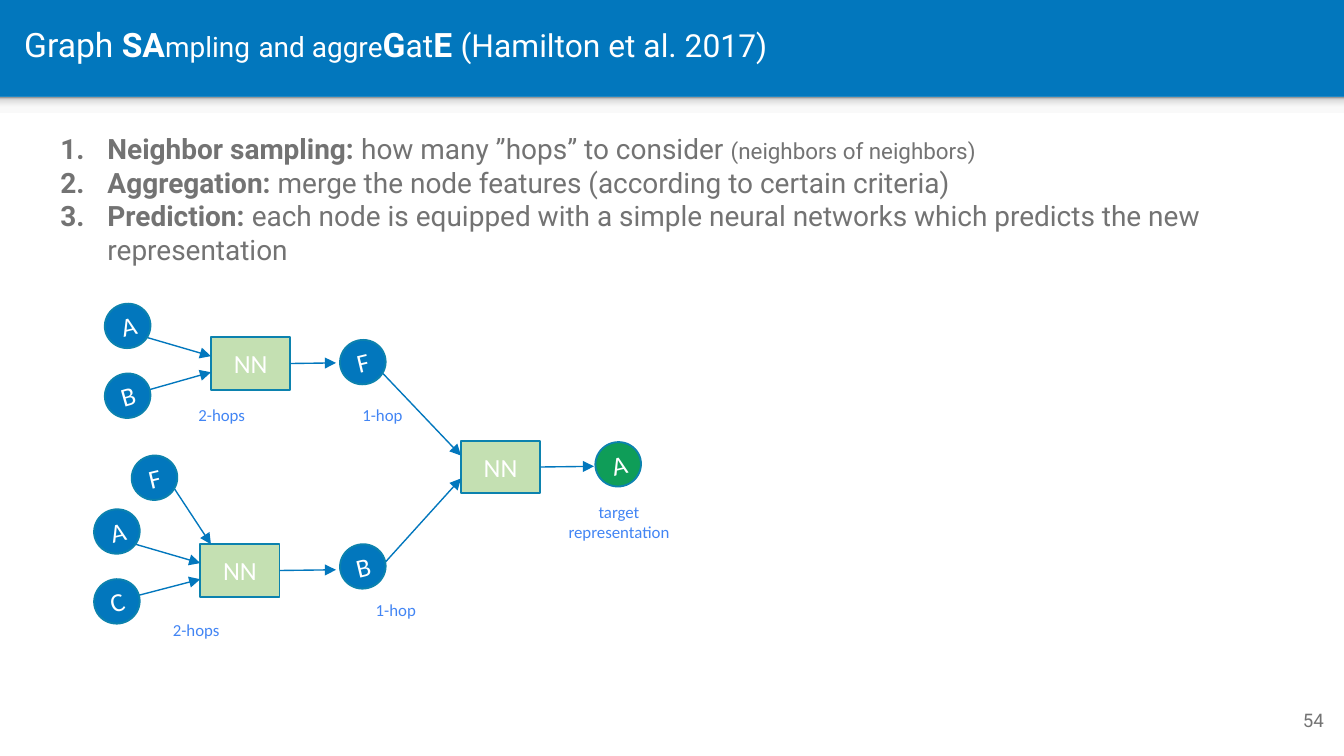
import copy

import pptx
import pptx.dml.color
import pptx.enum.shapes
import pptx.enum.text
import pptx.oxml.ns
import pptx.oxml.xmlchemy
import pptx.util

RGB = pptx.dml.color.RGBColor
BLUE = RGB(0x02, 0x77, 0xBD)
OUTLINE = RGB(0x0C, 0x82, 0xAE)
GREEN = RGB(0x0F, 0x9D, 0x58)
PALE_GREEN = RGB(0xC4, 0xE0, 0xB2)
LABEL_BLUE = RGB(0x42, 0x85, 0xF4)
GRAY = RGB(0x73, 0x73, 0x73)
WHITE = RGB(0xFF, 0xFF, 0xFF)
SHADE_STOPS = [(0, RGB(0xF9, 0xF9, 0xF9)), (0.36, RGB(0xF9, 0xF9, 0xF9)),
               (0.8, RGB(0xDE, 0xDE, 0xDE)), (1, RGB(0x99, 0x99, 0x99))]

SHAPE = pptx.enum.shapes.MSO_SHAPE
ALIGN = pptx.enum.text.PP_ALIGN
ANCHOR = pptx.enum.text.MSO_ANCHOR
RIGHT_SIDE = 3
NODE_SIZE = (34, 33)
NN_SIZE = (59, 39)


def px(count):
    """One px is a hundredth of an inch."""
    return pptx.util.Emu(count * 9144)


def add_xml(parent, tag, **attributes):
    child = pptx.oxml.xmlchemy.OxmlElement(tag)
    for key, value in attributes.items():
        child.set(key, value)
    parent.append(child)
    return child


def set_font(font, name, size, color):
    font.name = name
    font.size = pptx.util.Pt(size)
    font.color.rgb = color


def set_frame(frame, anchor, wrap=True):
    frame.margin_left = frame.margin_right = px(7)
    frame.margin_top = frame.margin_bottom = px(4)
    frame.vertical_anchor = anchor
    frame.word_wrap = wrap


def add_text(slide, box, anchor=ANCHOR.TOP, wrap=True):
    frame = slide.shapes.add_textbox(*map(px, box)).text_frame
    set_frame(frame, anchor, wrap)
    return frame


def add_runs(paragraph, runs, color):
    for text, size, bold in runs:
        run = paragraph.add_run()
        run.text = text
        set_font(run.font, "Roboto", size, color)
        run.font.bold = bold


def add_plain(slide, kind, box):
    shape = slide.shapes.add_shape(kind, *map(px, box))
    shape.shadow.inherit = False
    shape.line.fill.background()
    return shape


def add_block(slide, kind, position, size, text, fill, rotation=0):
    block = add_plain(slide, kind, (*position, *size))
    block.rotation = rotation
    block.fill.solid()
    block.fill.fore_color.rgb = fill
    block.line.color.rgb = OUTLINE
    block.line.width = pptx.util.Pt(1)
    set_frame(block.text_frame, ANCHOR.MIDDLE)
    paragraph = block.text_frame.paragraphs[0]
    paragraph.text = text
    paragraph.alignment = ALIGN.CENTER
    set_font(paragraph.font, "Calibri", 14, WHITE)
    return block


def add_node(slide, position, letter, rotation=346.3, fill=BLUE):
    add_block(slide, SHAPE.OVAL, position, NODE_SIZE, letter, fill, rotation)


def add_arrow(slide, start, end):
    arrow = slide.shapes.add_connector(
        pptx.enum.shapes.MSO_CONNECTOR.STRAIGHT, *map(px, (*start, *end)))
    arrow.line.color.rgb = BLUE
    arrow.line.width = pptx.util.Pt(0.75)
    outline = arrow._element.spPr.find(pptx.oxml.ns.qn("a:ln"))
    add_xml(outline, "a:tailEnd", type="triangle")
    add_xml(arrow._element.spPr, "a:effectLst")
    return arrow


def add_network(slide, position, output_x):
    """NN box with an arrow leaving the middle of its right side."""
    network = add_block(slide, SHAPE.RECTANGLE, position, NN_SIZE, "NN", PALE_GREEN)
    left, top = position
    middle = top + NN_SIZE[1] // 2
    output = add_arrow(slide, (left + NN_SIZE[0], middle), (output_x, middle))
    output.begin_connect(network, RIGHT_SIDE)


def add_label(slide, box, *lines):
    frame = add_text(slide, box, wrap=False)
    for index, line in enumerate(lines):
        paragraph = frame.add_paragraph() if index else frame.paragraphs[0]
        paragraph.text = line
        paragraph.alignment = ALIGN.CENTER
        set_font(paragraph.font, "Calibri", 9, LABEL_BLUE)


def add_backdrop(slide):
    slide.background.fill.solid()
    slide.background.fill.fore_color.rgb = BLUE
    body = add_plain(slide, SHAPE.RECTANGLE, (0, 72, 1000, 491))
    body.fill.solid()
    body.fill.fore_color.rgb = WHITE

    # Soft shade under the title band, darkest at its top
    shade = add_plain(slide, SHAPE.RECTANGLE, (0, 72, 1000, 12))
    shade.fill.gradient()
    shade.fill.gradient_angle = 90
    stop_list = shade._element.spPr.find(".//" + pptx.oxml.ns.qn("a:gsLst"))
    for _ in range(len(SHADE_STOPS) - len(stop_list)):
        stop_list.append(copy.deepcopy(stop_list[0]))
    for stop, (position, color) in zip(shade.fill.gradient_stops, SHADE_STOPS):
        stop.position = position
        stop.color.rgb = color


def add_title(slide):
    title = add_text(slide, (11, 2, 965, 66), ANCHOR.MIDDLE).paragraphs[0]
    title.line_spacing = 0.9
    add_runs(title, [("Graph ", 18, False), ("SA", 18, True),
                     ("mpling", 15, False), (" ", 18, False),
                     ("and aggre", 15, False), ("G", 18, True),
                     ("at", 17, False), ("E ", 18, True),
                     ("(Hamilton et al. 2017)", 17, False)], WHITE)


def add_steps(slide):
    steps = [
        [("Neighbor sampling: ", 15, True),
         ("how many ”hops” to consider ", 15, False),
         ("(neighbors of neighbors)", 12, False)],
        [("Aggregation: ", 15, True),
         ("merge the node features (according to certain criteria)", 15, False)],
        [("Prediction: ", 15, True),
         ("each node is equipped with a simple neural networks which "
          "predicts the new representation", 15, False)],
    ]
    frame = add_text(slide, (23, 94, 907, 109))
    for index, runs in enumerate(steps):
        paragraph = frame.add_paragraph() if index else frame.paragraphs[0]
        properties = paragraph._p.get_or_add_pPr()
        properties.set("marL", str(px(50)))
        properties.set("indent", str(px(-35)))
        bullet_color = add_xml(properties, "a:buClr")
        add_xml(bullet_color, "a:srgbClr", val=str(GRAY))
        add_xml(properties, "a:buFont", typeface="Roboto")
        add_xml(properties, "a:buAutoNum", type="arabicPeriod")
        add_runs(paragraph, runs, GRAY)


def add_diagram(slide):
    # Networks with their outputs
    for position, output_x in [((157, 251), 250), ((149, 405), 250),
                               ((343, 328), 442)]:
        add_network(slide, position, output_x)

    # Arrows into the networks
    for start, end in [((109, 251), (157, 265)), ((111, 290), (157, 277)),
                       ((101, 405), (149, 419)), ((103, 443), (149, 431)),
                       ((130, 364), (157, 405)),
                       ((285, 278), (343, 339)), ((287, 418), (343, 356))]:
        add_arrow(slide, start, end)

    # Graph nodes
    for position, letter in [((78, 226), "A"), ((70, 379), "A"), ((98, 339), "F"),
                             ((253, 253), "F"), ((253, 405), "B")]:
        add_node(slide, position, letter)
    add_node(slide, (78, 278), "B", rotation=344)
    add_node(slide, (70, 431), "C", rotation=344)
    add_node(slide, (443, 329), "A", fill=GREEN)

    # Labels
    add_label(slide, (415, 369, 91, 38), "target", "representation")
    for box, text in [((121, 457, 50, 23), "2-hops"), ((140, 297, 50, 23), "2-hops"),
                      ((262, 297, 45, 23), "1-hop"), ((272, 442, 45, 23), "1-hop")]:
        add_label(slide, box, text)


def add_page_number(slide):
    number = add_text(slide, (932, 514, 60, 43), ANCHOR.MIDDLE).paragraphs[0]
    number.text = "54"
    number.alignment = ALIGN.RIGHT
    set_font(number.font, "Roboto", 10, GRAY)


def main():
    deck = pptx.Presentation()
    deck.slide_width = px(1000)
    deck.slide_height = pptx.util.Inches(5.625)
    slide = deck.slides.add_slide(deck.slide_layouts[6])
    add_backdrop(slide)
    add_title(slide)
    add_steps(slide)
    add_diagram(slide)
    add_page_number(slide)
    deck.save("out.pptx")


if __name__ == "__main__":
    main()
